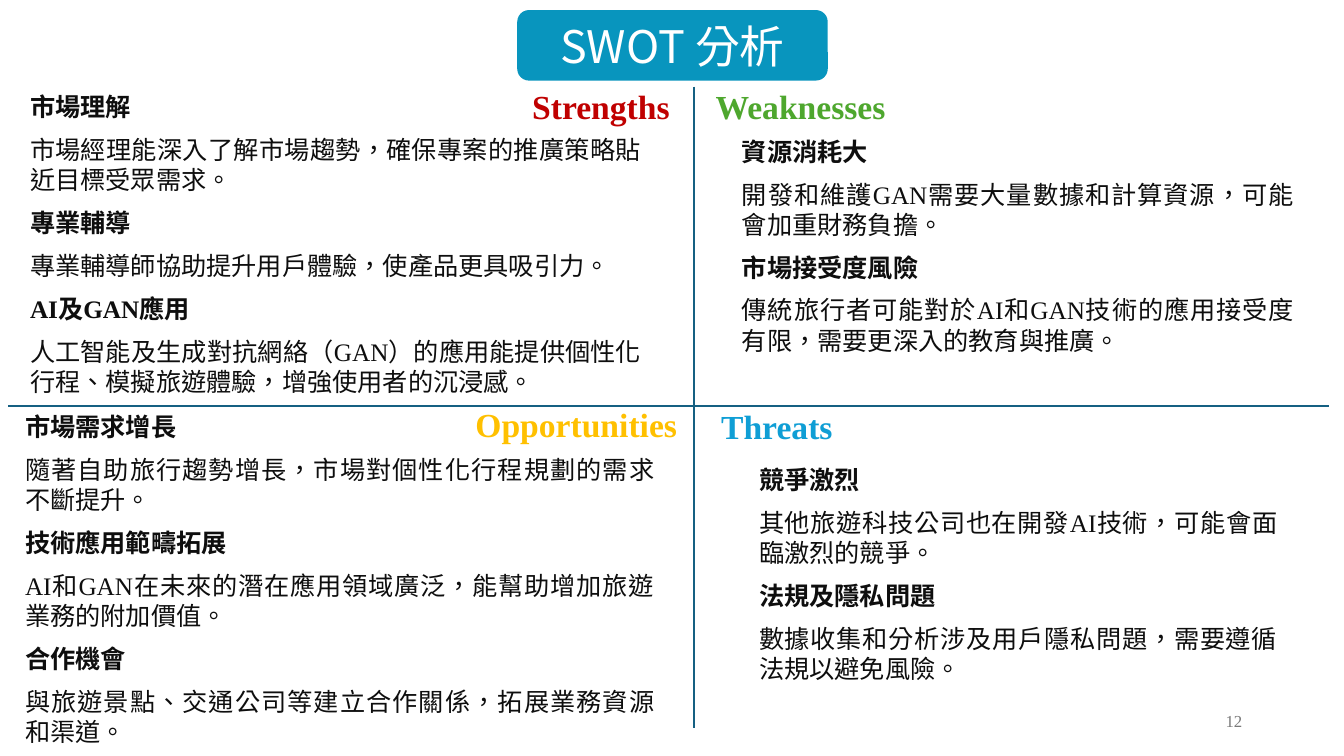
from lxml.etree import SubElement
from pptx import Presentation
from pptx.dml.color import RGBColor
from pptx.enum.lang import MSO_LANGUAGE_ID as Lang
from pptx.enum.shapes import MSO_CONNECTOR as Conn, MSO_SHAPE as Shape
from pptx.enum.text import MSO_ANCHOR as Anchor, MSO_AUTO_SIZE as Auto, PP_ALIGN as Align
from pptx.oxml.ns import qn
from pptx.util import Pt

PX = 9144  # 100 px to the inch
SERIF, SANS = "Times New Roman", "Noto Sans CJK SC"

INK = RGBColor(0x0E, 0x0E, 0x0E)
GRAY = RGBColor(0x79, 0x79, 0x79)
WHITE = RGBColor(0xFF, 0xFF, 0xFF)
TEAL = RGBColor(0x08, 0x95, 0xBE)
NAVY = RGBColor(0x15, 0x60, 0x82)
RED = RGBColor(0xC0, 0x00, 0x00)
GREEN = RGBColor(0x4E, 0xA7, 0x2E)
GOLD = RGBColor(0xFF, 0xC0, 0x00)
BLUE = RGBColor(0x0F, 0x9E, 0xD5)

# Each quadrant: heading, colour, heading box, body box, (topic, detail) pairs
QUADS = [
    ("Strengths", RED, (517, 80, 158, 50), (20, 86, 626, 316), [
        ("市場理解", "市場經理能深入了解市場趨勢，確保專案的推廣策略貼近目標受眾需求。"),
        ("專業輔導", "專業輔導師協助提升用戶體驗，使產品更具吸引力。"),
        ("AI及GAN應用", "人工智能及生成對抗網絡（GAN）的應用能提供個性化行程、"
                      "模擬旅遊體驗，增強使用者的沉浸感。"),
    ]),
    ("Weaknesses", GREEN, (699, 80, 190, 50), (726, 130, 567, 230), [
        ("資源消耗大", "開發和維護GAN需要大量數據和計算資源，可能會加重財務負擔。"),
        ("市場接受度風險", "傳統旅行者可能對於AI和GAN技術的應用接受度有限，"
                     "需要更深入的教育與推廣。"),
    ]),
    ("Opportunities", GOLD, (457, 396, 229, 50), (15, 403, 644, 346), [
        ("市場需求增長", "隨著自助旅行趨勢增長，市場對個性化行程規劃的需求不斷提升。"),
        ("技術應用範疇拓展", "AI和GAN在未來的潛在應用領域廣泛，能幫助增加旅遊業務的附加價值。"),
        ("合作機會", "與旅遊景點、交通公司等建立合作關係，拓展業務資源和渠道。"),
    ]),
    ("Threats", BLUE, (701, 398, 139, 50), (743, 456, 534, 230), [
        ("競爭激烈", "其他旅遊科技公司也在開發AI技術，可能會面臨激烈的競爭。"),
        ("法規及隱私問題", "數據收集和分析涉及用戶隱私問題，需要遵循法規以避免風險。"),
    ]),
]


def emu(box):
    return [n * PX for n in box]


def style(para, text, size, color, align, bold=False, face=SERIF):
    para.text = text
    para.alignment = align
    font = para.font
    font.name, font.size, font.bold = face, Pt(size), bold
    font.color.rgb = color
    font.language_id = Lang.TRADITIONAL_CHINESE


def add_text(slide, box):
    frame = slide.shapes.add_textbox(*emu(box)).text_frame
    frame.word_wrap = True
    return frame


def add_title(slide, box):
    pill = slide.shapes.add_shape(Shape.ROUNDED_RECTANGLE, *emu(box))
    pill.shadow.inherit = False
    pill.fill.solid()
    pill.fill.fore_color.rgb = TEAL
    pill.line.fill.background()
    frame = pill.text_frame
    frame.vertical_anchor = Anchor.MIDDLE
    style(frame.paragraphs[0], "SWOT 分析", 32, WHITE, Align.CENTER, face=SANS)


def add_rule(slide, ends):
    rule = slide.shapes.add_connector(Conn.STRAIGHT, *emu(ends))
    rule.line.color.rgb = NAVY
    rule.line.width = Pt(1.5)
    SubElement(rule._element.spPr, qn("a:effectLst"))


def add_quad(slide, name, color, head, body, topics):
    # Topics with their details
    frame = add_text(slide, body)
    frame.auto_size = Auto.SHAPE_TO_FIT_TEXT
    lines = [(text, not i) for pair in topics for i, text in enumerate(pair)]
    for i, (text, bold) in enumerate(lines):
        para = frame.add_paragraph() if i else frame.paragraphs[0]
        style(para, text, 18, INK, Align.JUSTIFY, bold)
        if i:
            para.space_before = Pt(9)

    # Coloured heading
    frame = add_text(slide, head)
    frame.auto_size = Auto.SHAPE_TO_FIT_TEXT
    frame.word_wrap = False
    style(frame.paragraphs[0], name, 24, color, Align.CENTER, True)


def add_number(slide, box):
    frame = add_text(slide, box)
    frame.vertical_anchor = Anchor.MIDDLE
    style(frame.paragraphs[0], "12", 12, GRAY, Align.RIGHT)


def main():
    deck = Presentation()
    deck.slide_width, deck.slide_height = emu((1333, 750))
    slide = deck.slides.add_slide(deck.slide_layouts[6])

    for quad in QUADS:
        add_quad(slide, *quad)

    # Cross between the quadrants
    for ends in ((8, 403, 1318, 403), (688, 86, 688, 722)):
        add_rule(slide, ends)

    add_title(slide, (513, 10, 308, 70))
    add_number(slide, (942, 695, 300, 40))
    deck.save("out.pptx")


if __name__ == "__main__":
    main()
